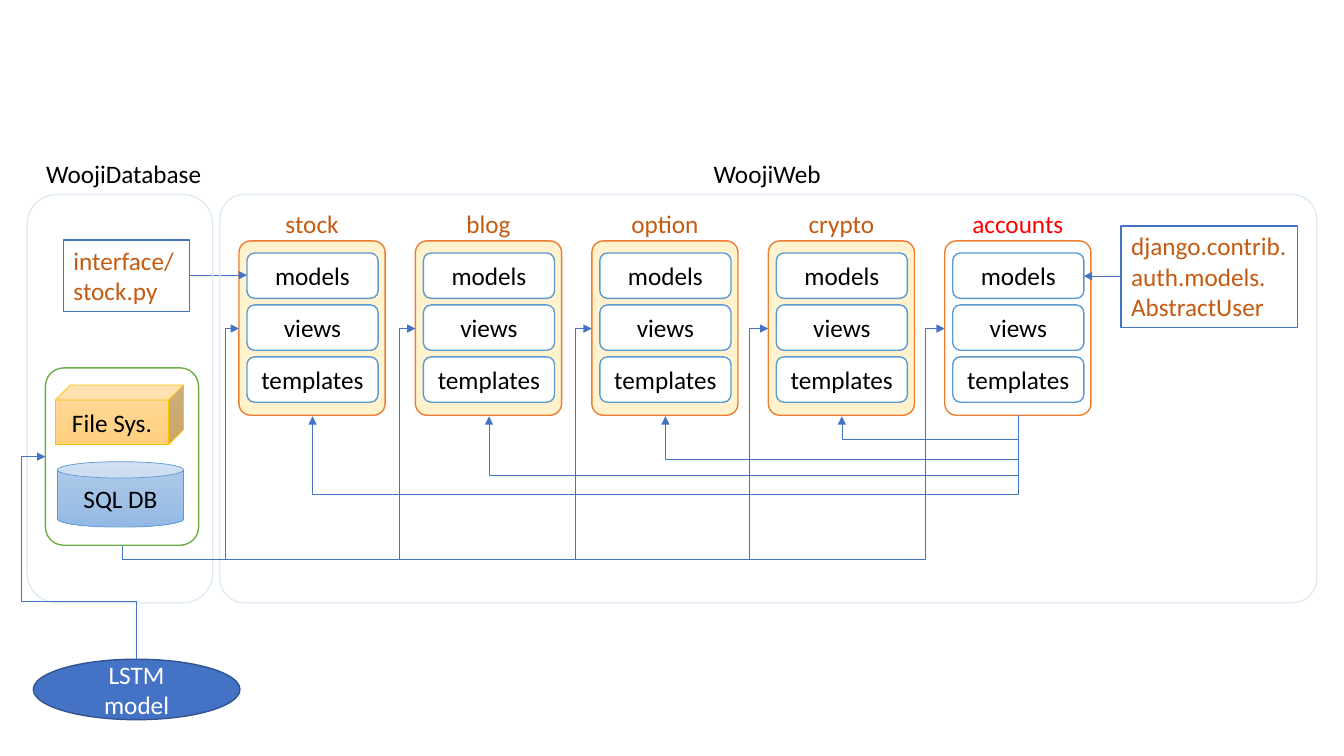
from lxml.etree import SubElement
from pptx import Presentation
from pptx.dml.color import RGBColor
from pptx.enum.shapes import MSO_CONNECTOR, MSO_SHAPE
from pptx.enum.text import MSO_ANCHOR, MSO_AUTO_SIZE, PP_ALIGN
from pptx.oxml.ns import qn
from pptx.util import Inches, Pt

BLACK = RGBColor(0x00, 0x00, 0x00)
WHITE = RGBColor(0xFF, 0xFF, 0xFF)
RED = RGBColor(0xFF, 0x00, 0x00)
RUST = RGBColor(0xC5, 0x5A, 0x11)
ORANGE = RGBColor(0xED, 0x7D, 0x31)
CREAM = RGBColor(0xFF, 0xF2, 0xCC)
BLUE = RGBColor(0x44, 0x72, 0xC4)
NAVY = RGBColor(0x32, 0x54, 0x91)
SKY = RGBColor(0x5B, 0x9B, 0xD5)
PALE_BLUE = RGBColor(0xDE, 0xEB, 0xF7)
GREEN = RGBColor(0x70, 0xAD, 0x47)
GOLD = RGBColor(0xFF, 0xC0, 0x00)
CAN_TOP = RGBColor(0xB1, 0xCB, 0xE9)
CAN_BOTTOM = RGBColor(0x93, 0xB9, 0xE4)
CUBE_TOP = RGBColor(0xFF, 0xDB, 0x9E)
CUBE_BOTTOM = RGBColor(0xFF, 0xD0, 0x7C)

presentation = Presentation()
presentation.slide_width = Inches(13.33)
presentation.slide_height = Inches(7.5)
slide = presentation.slides.add_slide(presentation.slide_layouts[6])


def add_box(geometry, at, text="", color=BLACK, fill=None, line=None, weight=1,
            corner=None, align=PP_ALIGN.CENTER, anchor=MSO_ANCHOR.MIDDLE, wrap=True):
    place = [Inches(length) for length in at]
    if geometry is None:
        box = slide.shapes.add_textbox(*place)
        box.text_frame.auto_size = MSO_AUTO_SIZE.SHAPE_TO_FIT_TEXT
    else:
        box = slide.shapes.add_shape(geometry, *place)
        box.shadow.inherit = False
        box.line.color.rgb = line
        box.line.width = Pt(weight)
        if corner is not None:
            box.adjustments[0] = corner
        if fill is None:
            box.fill.background()
        elif isinstance(fill, RGBColor):
            box.fill.solid()
            box.fill.fore_color.rgb = fill
        else:
            box.fill.gradient()
            box.fill.gradient_angle = 270
            for stop, shade in zip(box.fill.gradient_stops, fill):
                stop.color.rgb = shade
    if text:
        frame = box.text_frame
        frame.text = text
        frame.word_wrap = wrap
        frame.vertical_anchor = anchor
        paragraph = frame.paragraphs[0]
        paragraph.alignment = align
        font = paragraph.runs[0].font
        font.name = "Calibri"
        font.size = Pt(18)
        font.color.rgb = color


def add_arrow(start, end, via_y=None, via_x=None, rotation=90, flips=""):
    (x1, y1), (x2, y2) = start, end
    if via_y is None:
        arrow = slide.shapes.add_connector(
            MSO_CONNECTOR.STRAIGHT, Inches(x1), Inches(y1), Inches(x2), Inches(y2))
    else:
        width, height = abs(y2 - y1), abs(x2 - x1)
        left, top = (x1 + x2 - width) / 2, (y1 + y2 - height) / 2
        arrow = slide.shapes.add_connector(
            MSO_CONNECTOR.ELBOW, Inches(left), Inches(top),
            Inches(left + width), Inches(top + height))
        properties = arrow._element.spPr
        transform = properties.find(qn("a:xfrm"))
        transform.set("rot", str(rotation * 60000))
        for flip in flips:
            transform.set("flip" + flip, "1")
        bends = [(via_y - y1) / (y2 - y1)]
        if via_x is not None:
            bends.append((via_x - x1) / (x2 - x1))
        geometry = properties.find(qn("a:prstGeom"))
        geometry.set("prst", f"bentConnector{len(bends) + 2}")
        guides = geometry.find(qn("a:avLst"))
        for number, bend in enumerate(bends, 1):
            SubElement(guides, qn("a:gd"), name=f"adj{number}",
                       fmla=f"val {round(bend * 100000)}")
    arrow.line.color.rgb = BLUE
    arrow.line.width = Pt(0.5)
    SubElement(arrow.line._get_or_add_ln(), qn("a:tailEnd"), type="triangle")
    SubElement(arrow._element.spPr, qn("a:effectLst"))


rounded = MSO_SHAPE.ROUNDED_RECTANGLE
apps = ["stock", "blog", "option", "crypto", "accounts"]
app_lefts = [2.37 + 1.75 * column for column in range(len(apps))]
for app, left in zip(apps, app_lefts):
    is_accounts = app == "accounts"
    add_box(rounded, (left, 2.39, 1.45, 1.73), line=ORANGE, corner=0.08,
            fill=WHITE if is_accounts else CREAM)
    for row, layer in enumerate(["models", "views", "templates"]):
        add_box(rounded, (left + 0.08, 2.51 + 0.515 * row, 1.3, 0.45), layer,
                fill=WHITE, line=SKY)
    add_box(None, (left, 2.02, 1.45, 0.4), app, RED if is_accounts else RUST,
            anchor=MSO_ANCHOR.TOP)

for at, source in [
    ((11.12, 2.24, 1.75, 1.01), "django.contrib.auth.models. AbstractUser"),
    ((0.63, 2.38, 1.25, 0.71), "interface/stock.py"),
]:
    add_box(MSO_SHAPE.RECTANGLE, at, source, RUST, fill=WHITE, line=BLUE,
            align=PP_ALIGN.LEFT, anchor=MSO_ANCHOR.TOP)
add_arrow((11.12, 2.74), (10.75, 2.74))
add_arrow((1.88, 2.73), (2.45, 2.73))

for left, turn_y in zip(app_lefts, [4.92, 4.73, 4.56, 4.36]):
    add_arrow((10.1, 4.12), (left + 0.73, 4.13), turn_y)

for project, left, width, corner, label_left, label_width in [
    ("WoojiWeb", 2.18, 10.88, 0.06, 6.98, 1.27),
    ("WoojiDatabase", 0.27, 1.84, 0.16, 0.36, 1.75),
]:
    add_box(rounded, (left, 1.93, width, 4.05), line=PALE_BLUE, corner=corner)
    add_box(None, (label_left, 1.52, label_width, 0.4), project,
            align=PP_ALIGN.LEFT, anchor=MSO_ANCHOR.TOP, wrap=False)

add_box(MSO_SHAPE.CAN, (0.57, 4.58, 1.25, 0.65), "SQL DB",
        fill=(CAN_TOP, CAN_BOTTOM), line=SKY, weight=0.5)
for left, turn_x in zip(app_lefts, [2.24, 3.96, 5.7, 7.43, 9.18]):
    add_arrow((1.21, 5.41), (left, 3.26), 5.55, turn_x, flips="HV")
add_box(MSO_SHAPE.CUBE, (0.55, 3.82, 1.27, 0.59), "File Sys.",
        fill=(CUBE_TOP, CUBE_BOTTOM), line=GOLD, weight=0.5)
add_box(rounded, (0.45, 3.65, 1.52, 1.76), line=GREEN, corner=0.12)

add_box(MSO_SHAPE.OVAL, (0.33, 6.54, 2.05, 0.6), "LSTM model", WHITE,
        fill=BLUE, line=NAVY)
add_arrow((1.35, 6.54), (0.45, 4.53), 5.97, 0.21, rotation=270, flips="V")

presentation.save("out.pptx")
